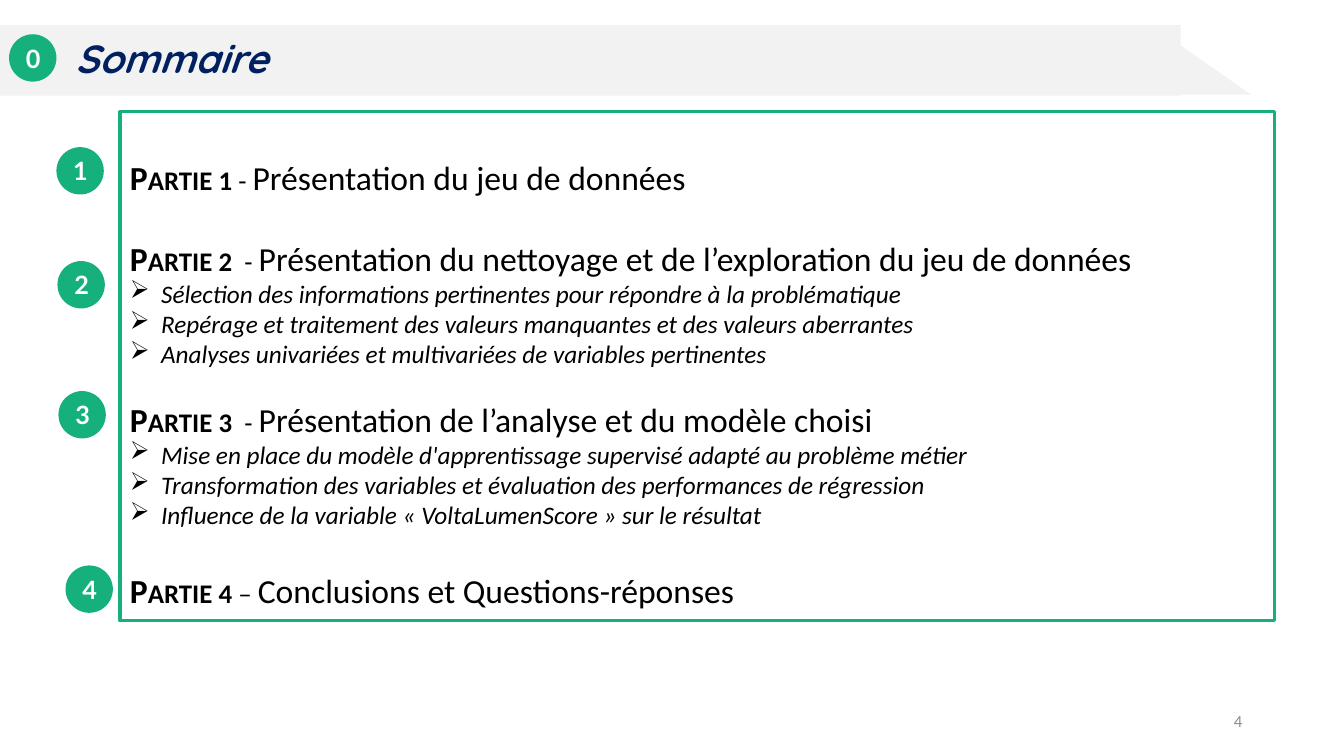
from lxml import etree
from pptx import Presentation
from pptx.dml.color import RGBColor
from pptx.enum.shapes import MSO_SHAPE
from pptx.enum.text import MSO_ANCHOR, PP_ALIGN
from pptx.oxml.ns import qn
from pptx.util import Emu, Pt

PX = 9144  # one hundredth of an inch
RECTANGLE, ELLIPSE, TRIANGLE = MSO_SHAPE.RECTANGLE, MSO_SHAPE.OVAL, MSO_SHAPE.RIGHT_TRIANGLE
TOP, MIDDLE = MSO_ANCHOR.TOP, MSO_ANCHOR.MIDDLE
LEFT, CENTER, RIGHT = PP_ALIGN.LEFT, PP_ALIGN.CENTER, PP_ALIGN.RIGHT

COLORS = {
    "green": "16B07D",
    "band": "F2F2F2",
    "navy": "002060",
    "black": "000000",
    "white": "FFFFFF",
    "gray": "8C8C8C",
}
BADGE_SIZE = 47
BADGES = [("0", 9, 34), ("1", 56, 146), ("2", 57, 259), ("3", 58, 388), ("4", 65, 561)]

# label, dash, title, space before in points, bullets
PARTS = [
    ("Partie 1", " - ", "Présentation du jeu de données", 0, []),
    ("Partie 2 ", " - ", "Présentation du nettoyage et de l’exploration du jeu de données", 28.6, [
        "Sélection des informations pertinentes pour répondre à la problématique",
        "Repérage et traitement des valeurs manquantes et des valeurs aberrantes",
        "Analyses univariées et multivariées de variables pertinentes",
    ]),
    ("Partie 3 ", " - ", "Présentation de l’analyse et du modèle choisi", 21.4, [
        "Mise en place du modèle d'apprentissage supervisé adapté au problème métier",
        "Transformation des variables et évaluation des performances de régression",
        "Influence de la variable « VoltaLumenScore » sur le résultat",
    ]),
    ("Partie 4 ", "– ", "Conclusions et Questions-réponses", 28.6, []),
]


def px(*lengths):
    return [Emu(length * PX) for length in lengths]


def rgb(name):
    return RGBColor.from_string(COLORS[name])


def add_shape(slide, kind, box, fill=None, line=None):
    shape = slide.shapes.add_shape(kind, *px(*box))
    shape.shadow.inherit = False
    if fill:
        shape.fill.solid()
        shape.fill.fore_color.rgb = rgb(fill)
    else:
        shape.fill.background()
    if line:
        shape.line.color.rgb = rgb(line)
        shape.line.width = Pt(2.25)
    else:
        shape.line.fill.background()
    return shape


def add_run(paragraph, text, size, color="black", font="Calibri",
            bold=False, italic=False, small_caps=False):
    run = paragraph.add_run()
    run.text = text
    run.font.size = Pt(size)
    run.font.name = font
    run.font.bold = bold
    run.font.italic = italic
    run.font.color.rgb = rgb(color)
    if small_caps:
        run.font._element.set("cap", "small")


def add_line(shape, text, size, alignment, anchor=TOP, **style):
    """Put a single line of text into a shape or text box."""
    frame = shape.text_frame
    frame.word_wrap = True
    frame.vertical_anchor = anchor
    paragraph = frame.paragraphs[0]
    paragraph.alignment = alignment
    add_run(paragraph, text, size, **style)


def add_badge(slide, number, left, top):
    badge = add_shape(slide, ELLIPSE, (left, top, BADGE_SIZE, BADGE_SIZE), "green")
    add_line(badge, number, 18, CENTER, MIDDLE, color="white", font="Lato", bold=True)


def add_bullet(paragraph, text):
    properties = paragraph._p.get_or_add_pPr()
    properties.set("marL", str(31 * PX))
    properties.set("indent", str(-31 * PX))
    etree.SubElement(properties, qn("a:buChar")).set("char", "➢")
    add_run(paragraph, text, 18, italic=True)


def add_summary(slide):
    box = add_shape(slide, RECTANGLE, (119, 111, 1145, 505), line="green")
    frame = box.text_frame
    frame.word_wrap = True
    frame.vertical_anchor = TOP
    frame.margin_top = Emu(45 * PX)
    paragraph = frame.paragraphs[0]
    for index, (label, dash, title, space, bullets) in enumerate(PARTS):
        if index:
            paragraph = frame.add_paragraph()
        paragraph.alignment = LEFT
        paragraph.space_before = Pt(space)
        add_run(paragraph, label, 24, bold=True, small_caps=True)
        add_run(paragraph, dash, 24, small_caps=True)
        add_run(paragraph, title, 24)
        for text in bullets:
            bullet = frame.add_paragraph()
            bullet.alignment = LEFT
            add_bullet(bullet, text)


def main():
    presentation = Presentation()
    presentation.slide_width, presentation.slide_height = px(1333, 750)
    slide = presentation.slides.add_slide(presentation.slide_layouts[6])

    add_shape(slide, TRIANGLE, (1158, 36, 83, 58), "band")
    add_shape(slide, RECTANGLE, (0, 25, 1171, 70), "band")
    heading = slide.shapes.add_textbox(*px(65, 29, 787, 57))
    add_line(heading, "Sommaire", 28, LEFT, color="navy", font="Quicksand",
             bold=True, italic=True)
    page_number = slide.shapes.add_textbox(*px(942, 695, 300, 40))
    add_line(page_number, "4", 12, RIGHT, MIDDLE, color="gray")

    add_summary(slide)
    for badge in BADGES:
        add_badge(slide, *badge)
    presentation.save("out.pptx")


if __name__ == "__main__":
    main()
